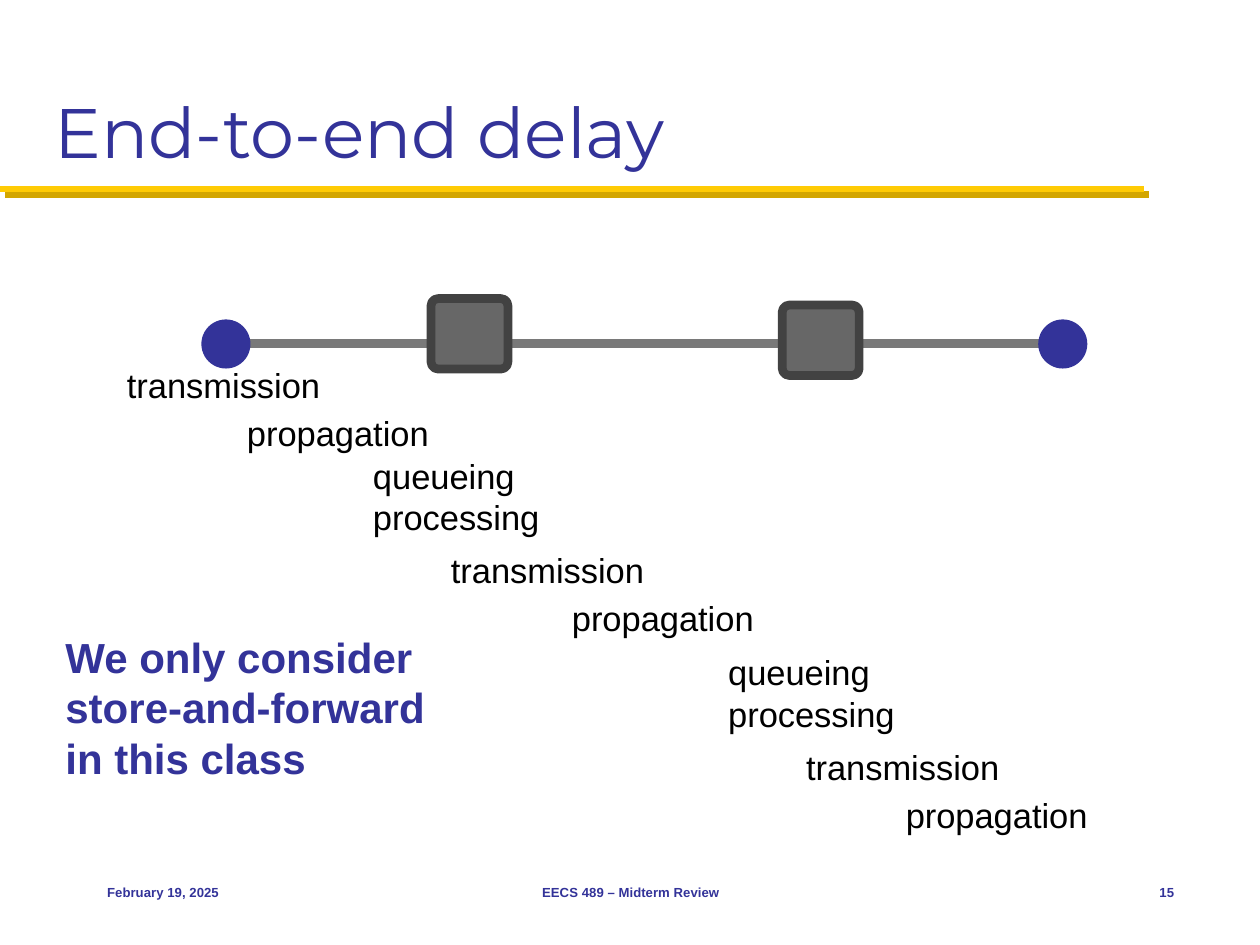
from typing import NamedTuple

from pptx import Presentation
from pptx.dml.color import RGBColor
from pptx.enum.shapes import MSO_CONNECTOR, MSO_SHAPE
from pptx.enum.text import MSO_ANCHOR, PP_ALIGN
from pptx.oxml.ns import qn
from pptx.util import Cm, Pt
from lxml.etree import SubElement

BLUE = RGBColor(0x33, 0x33, 0x99)
BLACK = RGBColor(0, 0, 0)
GOLD = RGBColor(0xFF, 0xCB, 0x05)
DARK_GOLD = RGBColor(0xD3, 0xA6, 0x00)
LINK_GRAY = RGBColor(0x79, 0x79, 0x79)
ROUTER_GRAY = RGBColor(0x67, 0x67, 0x67)
ROUTER_EDGE = RGBColor(0x42, 0x42, 0x42)


class Rule(NamedTuple):
    x1: float
    x2: float
    y: float
    color: RGBColor
    weight: float


class Node(NamedTuple):
    kind: MSO_SHAPE
    x: float
    y: float
    w: float
    h: float
    fill: RGBColor
    edge: RGBColor | None = None


class Label(NamedTuple):
    text: str
    x: float
    y: float
    w: float = 4.24
    h: float = 1.04
    size: float = 19.7
    color: RGBColor = BLACK
    font: str = "Arial"
    bold: bool = False
    align: PP_ALIGN = PP_ALIGN.LEFT
    anchor: MSO_ANCHOR = MSO_ANCHOR.MIDDLE
    inset: tuple[float, float] = (0.1, 0.1)


def host(x: float) -> Node:
    """Return an end host on the link."""
    return Node(MSO_SHAPE.OVAL, x, 6.44, 0.99, 0.99, BLUE)


def router(x: float, y: float) -> Node:
    """Return a router on the link."""
    return Node(MSO_SHAPE.ROUNDED_RECTANGLE, x, y, 1.55, 1.42, ROUTER_GRAY, ROUTER_EDGE)


def footer(text: str, x: float, w: float, align: PP_ALIGN) -> Label:
    """Return one part of the footer."""
    return Label(text, x, 17.35, w, 1.27, 7.5, BLUE, bold=True, align=align,
                 inset=(0.25, 0.13))


RULES = [
    Rule(0.11, 23.17, 3.92, DARK_GOLD, 3.5),
    Rule(0, 23.06, 3.81, GOLD, 3.5),
    Rule(4.7, 21.21, 6.93, LINK_GRAY, 5),
]
NODES = [host(4.06), host(20.93), router(8.69, 6.02), router(15.77, 6.15)]
LABELS = [
    Label("End-to-end delay", 0.85, 0.42, 23.7, 3.18, 40, BLUE, "Montserrat",
          anchor=MSO_ANCHOR.BOTTOM, inset=(0.25, 0.13)),
    Label("transmission", 2.46, 7.24),
    Label("propagation", 4.88, 8.2),
    Label("queueing", 7.42, 9.07),
    Label("processing", 7.42, 9.9),
    Label("transmission", 8.99, 10.97),
    Label("propagation", 11.43, 11.93),
    Label("queueing", 14.58, 13.03),
    Label("processing", 14.58, 13.86),
    Label("transmission", 16.15, 14.94),
    Label("propagation", 18.16, 15.9),
    Label("We only consider store-and-forward in this class", 1.07, 12.6, 8.46, 3.33,
          24, BLUE, bold=True, anchor=MSO_ANCHOR.TOP, inset=(0.25, 0.13)),
    footer("February 19, 2025", 1.91, 5.28, PP_ALIGN.LEFT),
    footer("EECS 489 – Midterm Review", 8.69, 8.05, PP_ALIGN.CENTER),
    footer("15", 22.23, 1.69, PP_ALIGN.RIGHT),
]


def draw_rule(s, rule: Rule) -> None:
    """Draw a horizontal line."""
    line = s.shapes.add_connector(MSO_CONNECTOR.STRAIGHT, Cm(rule.x1), Cm(rule.y),
                                  Cm(rule.x2), Cm(rule.y))
    line.line.color.rgb = rule.color
    line.line.width = Pt(rule.weight)
    SubElement(line._element.spPr, qn("a:effectLst"))


def draw_node(s, node: Node) -> None:
    """Draw a host or a router."""
    sp = s.shapes.add_shape(node.kind, Cm(node.x), Cm(node.y), Cm(node.w), Cm(node.h))
    sp.shadow.inherit = False
    sp.fill.solid()
    sp.fill.fore_color.rgb = node.fill
    if node.edge is None:
        sp.line.fill.background()
    else:
        sp.adjustments[0] = 0.1
        sp.line.color.rgb = node.edge
        sp.line.width = Pt(5)


def draw_label(s, label: Label) -> None:
    """Draw a text box holding one run."""
    sp = s.shapes.add_textbox(Cm(label.x), Cm(label.y), Cm(label.w), Cm(label.h))
    tf = sp.text_frame
    tf.word_wrap = True
    tf.vertical_anchor = label.anchor
    tf.margin_left = tf.margin_right = Cm(label.inset[0])
    tf.margin_top = tf.margin_bottom = Cm(label.inset[1])
    p = tf.paragraphs[0]
    p.alignment = label.align
    r = p.add_run()
    r.text = label.text
    r.font.name = label.font
    r.font.size = Pt(label.size)
    r.font.bold = label.bold
    r.font.color.rgb = label.color


def main() -> None:
    """Build the end-to-end delay slide."""
    prs = Presentation()
    prs.slide_width, prs.slide_height = Cm(25.4), Cm(19.05)
    s = prs.slides.add_slide(prs.slide_layouts[6])
    for rule in RULES:
        draw_rule(s, rule)
    for node in NODES:
        draw_node(s, node)
    for label in LABELS:
        draw_label(s, label)
    prs.save("out.pptx")


if __name__ == "__main__":
    main()
